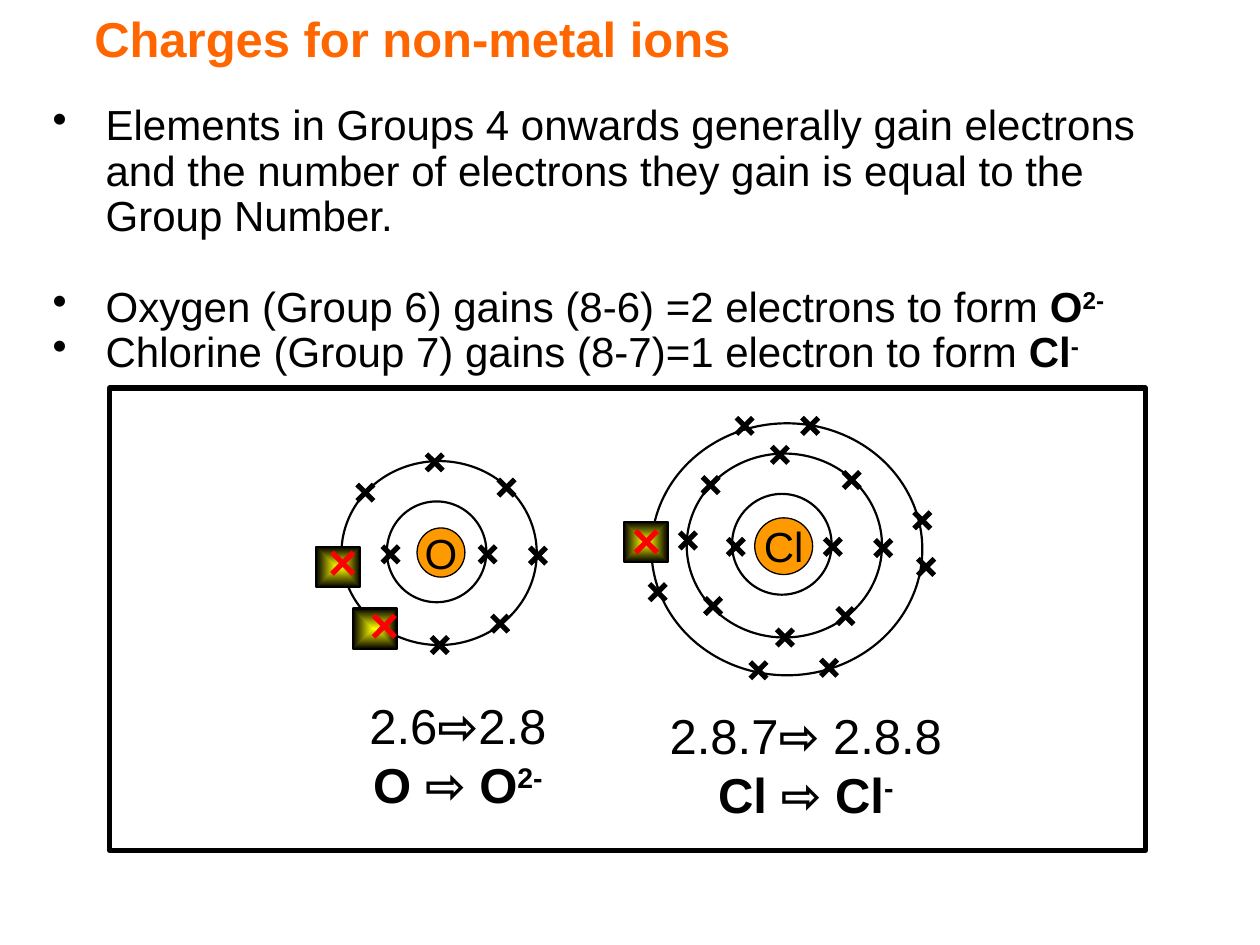
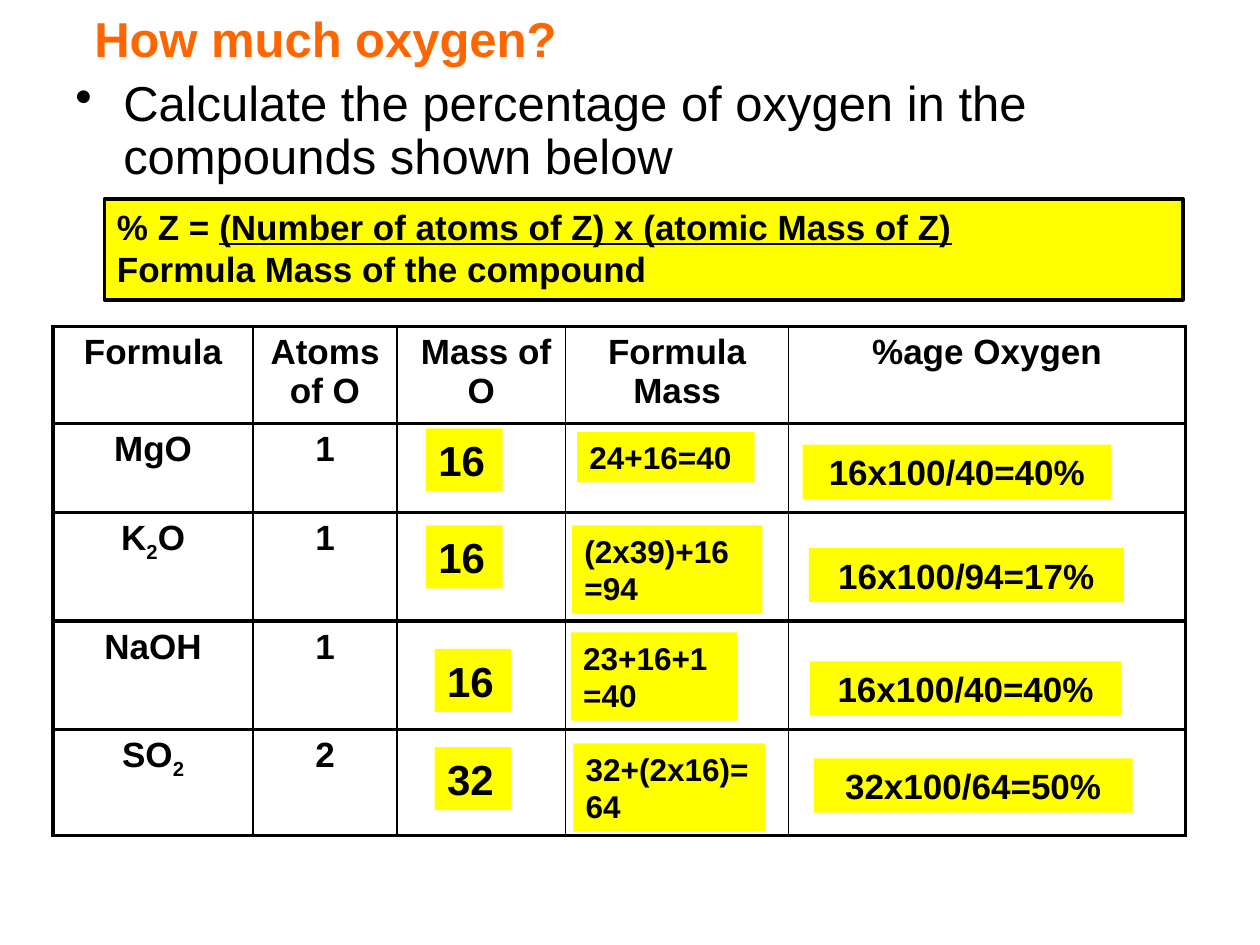
from lxml import etree
from pptx import Presentation
from pptx.dml.color import RGBColor
from pptx.enum.shapes import MSO_CONNECTOR as LINE, MSO_SHAPE as SHAPE
from pptx.enum.text import MSO_ANCHOR as ANCHOR, PP_ALIGN as ALIGN
from pptx.oxml.ns import qn
from pptx.util import Inches, Pt

BLACK = RGBColor(0x00, 0x00, 0x00)
WHITE = RGBColor(0xFF, 0xFF, 0xFF)
ORANGE = RGBColor(0xFF, 0x66, 0x00)
AMBER = RGBColor(0xFF, 0x99, 0x00)
YELLOW = RGBColor(0xFF, 0xFF, 0x00)
RED = RGBColor(0xFF, 0x00, 0x00)
FONT = "Arial"

BOLD = {"bold": True}
SUPER = {"bold": True, "baseline": 30}
SUB = {"bold": True, "baseline": -25}

INNER_RING = (0.36, 0.32, 0.79, 0.8)
MIDDLE_RING = (0, 0, 1.55, 1.46)
OUTER_RING = (-0.28, -0.24, 2.15, 2)
CORE_ELECTRONS = [(0.39, 0.74), (1.16, 0.74), (0.19, 0.25), (0.74, 0.01),
                  (1.31, 0.21), (1.56, 0.75), (1.26, 1.29), (0.78, 1.46)]
LEFT_ELECTRONS = [(0.01, 0.69), (0.21, 1.21)]
OUTER_ELECTRONS = [(0.46, -0.22), (0.98, -0.22), (1.87, 0.53), (1.9, 0.9),
                   (1.13, 1.7), (0.57, 1.72), (-0.23, 1.1)]


def write(tf, paragraphs, size=24, color=BLACK, bold=False, align=ALIGN.LEFT,
          anchor=ANCHOR.TOP, wrap=True, bullet=0, spacing=None, gaps=()):
    tf.word_wrap = wrap
    tf.vertical_anchor = anchor
    for i, runs in enumerate(paragraphs):
        p = tf.paragraphs[0] if i == 0 else tf.add_paragraph()
        p.alignment = align
        if bullet:
            pPr = p._p.get_or_add_pPr()
            pPr.set("marL", str(Inches(bullet)))
            pPr.set("indent", str(-Inches(bullet)))
            etree.SubElement(pPr, qn("a:buChar")).set("char", "•")
        if spacing:
            p.line_spacing = spacing
        if i < len(gaps) and gaps[i]:
            p.space_before = Pt(gaps[i])
        for item in [runs] if isinstance(runs, str) else runs:
            text, fmt = (item, {}) if isinstance(item, str) else item
            if text == "\n":
                p.add_line_break()
                continue
            r = p.add_run()
            r.text = text
            r.font.name, r.font.size = FONT, Pt(size)
            r.font.color.rgb = color
            r.font.bold = fmt.get("bold", bold)
            if fmt.get("underline"):
                r.font.underline = True
            if "baseline" in fmt:
                r._r.get_or_add_rPr().set("baseline", str(fmt["baseline"] * 1000))


def add_text(s, box, paragraphs, **fmt):
    sp = s.shapes.add_textbox(*map(Inches, box))
    write(sp.text_frame, paragraphs, **fmt)


def add_box(shapes, kind, box, fill=None, line=None):
    sp = shapes.add_shape(kind, *map(Inches, box))
    sp.shadow.inherit = False
    if fill is None:
        sp.fill.background()
    else:
        sp.fill.solid()
        sp.fill.fore_color.rgb = fill
    if line:
        sp.line.color.rgb = BLACK
        sp.line.width = Pt(line)
    else:
        sp.line.fill.background()
    return sp


def add_title(s, text):
    add_text(s, (0.65, 0.02, 7.89, 0.57), [text], size=28, color=ORANGE,
             bold=True, anchor=ANCHOR.MIDDLE)


def add_cross(shapes, x, y, size=0.13, color=BLACK):
    h = size / 2
    for dy in (-h, h):
        ln = shapes.add_connector(LINE.STRAIGHT, Inches(x - h), Inches(y + dy),
                                  Inches(x + h), Inches(y - dy))
        ln.line.color.rgb = color
        ln.line.width = Pt(3)
        etree.SubElement(ln._element.spPr, qn("a:effectLst"))


def add_gained_electron(shapes, x, y, cross_x, cross_y):
    sp = add_box(shapes, SHAPE.RECTANGLE, (x, y, 0.35, 0.32), line=1.25)
    sp.fill.gradient()
    for stop, color in zip(sp.fill.gradient_stops, (YELLOW, BLACK)):
        stop.color.rgb = color
    grad = sp._element.spPr.find(qn("a:gradFill"))
    grad.remove(grad.find(qn("a:lin")))
    center = etree.SubElement(grad, qn("a:path"))
    center.set("path", "shape")
    rect = etree.SubElement(center, qn("a:fillToRect"))
    for side in "ltrb":
        rect.set(side, "50000")
    add_cross(shapes, cross_x, cross_y, 0.17, RED)


def add_atom(s, x, y, symbol, nucleus, rings, electrons, gained):
    shapes = s.shapes.add_group_shape().shapes

    def place(box):
        return (x + box[0], y + box[1], *box[2:])

    for ring in rings:
        add_box(shapes, SHAPE.OVAL, place(ring), line=1.25)
    sp = add_box(shapes, SHAPE.OVAL, place(nucleus), AMBER, 0.75)
    write(sp.text_frame, [symbol], align=ALIGN.CENTER, anchor=ANCHOR.MIDDLE,
          wrap=False)
    for dx, dy in electrons:
        add_cross(shapes, x + dx, y + dy)
    for bx, by, cx, cy in gained:
        add_gained_electron(shapes, x + bx, y + by, x + cx, y + cy)


def add_ion_label(s, box, before, after, symbol, charge):
    add_text(s, box, [[before, ("⇨", BOLD), after, "\n",
                       (f"{symbol} ⇨ {symbol}", BOLD), (charge, SUPER)]],
             size=28, align=ALIGN.CENTER)


def ions_slide(prs):
    s = prs.slides.add_slide(prs.slide_layouts[6])
    add_box(s.shapes, SHAPE.RECTANGLE, (0.87, 3.08, 8.22, 3.67), WHITE, 3)
    add_text(s, (0.32, 0.78, 9.15, 2.42), [
        "Elements in Groups 4 onwards generally gain electrons and the number "
        "of electrons they gain is equal to the Group Number.",
        ["Oxygen (Group 6) gains (8-6) =2 electrons to form ",
         ("O", BOLD), ("2-", SUPER)],
        ["Chlorine (Group 7) gains (8-7)=1 electron to form ",
         ("Cl", BOLD), ("-", SUPER)],
    ], bullet=0.42, spacing=0.9, gaps=(0, 26))
    add_atom(s, 5.45, 3.6, "Cl", (0.54, 0.51, 0.46, 0.45),
             [MIDDLE_RING, INNER_RING, OUTER_RING],
             CORE_ELECTRONS + LEFT_ELECTRONS + OUTER_ELECTRONS,
             [(-0.5, 0.54, -0.32, 0.7)])
    add_atom(s, 2.71, 3.66, "O", (0.6, 0.53, 0.38, 0.39),
             [MIDDLE_RING, INNER_RING], CORE_ELECTRONS,
             [(-0.2, 0.68, 0.01, 0.81), (0.09, 1.17, 0.34, 1.31)])
    add_ion_label(s, (2.8, 5.47, 1.67, 1.03), "2.6", "2.8", "O", "2-")
    add_ion_label(s, (5.14, 5.55, 2.51, 1.03), "2.8.7", " 2.8.8", "Cl", "-")
    add_title(s, "Charges for non-metal ions")


def set_borders(cell, widths):
    tcPr = cell._tc.get_or_add_tcPr()
    for i, (side, width) in enumerate(zip("LRTB", widths)):
        ln = etree.Element(qn(f"a:ln{side}"), w=str(Pt(width)))
        fill = etree.SubElement(ln, qn("a:solidFill"))
        etree.SubElement(fill, qn("a:srgbClr")).set("val", str(BLACK))
        tcPr.insert(i, ln)


def add_oxygen_table(s, box):
    widths = [1.59, 1.14, 1.34, 1.77, 3.15]
    heights = [0.77, 0.71, 0.86, 0.86, 0.84]
    rows = [["Formula", "Atoms of O", " Mass of O", "Formula Mass", "%age Oxygen"],
            ["MgO", "1"],
            [["K", ("2", SUB), "O"], "1"],
            ["NaOH", "1"],
            [["SO", ("2", SUB)], "2"]]
    table = s.shapes.add_table(len(heights), len(widths), *map(Inches, box)).table
    for col, width in zip(table.columns, widths):
        col.width = Inches(width)
    last = len(widths) - 1
    for i, (row, height) in enumerate(zip(rows, heights)):
        table.rows[i].height = Inches(height)
        for j in range(len(widths)):
            cell = table.cell(i, j)
            cell.fill.solid()
            cell.fill.fore_color.rgb = WHITE
            set_borders(cell, (2.25 if j == 0 else 1, 2.25 if j == last else 1,
                               2.25, 2.25))
            if j < len(row):
                write(cell.text_frame, [row[j]], size=20, bold=True,
                      align=ALIGN.CENTER)


def add_answers(s, height, size, answers, align=ALIGN.LEFT):
    for x, y, width, text in answers:
        lines = 2 if height == 0.4 and len(text) > 9 else 1
        sp = add_box(s.shapes, SHAPE.RECTANGLE,
                     (x, y, width, height + 0.3 * (lines - 1)), YELLOW)
        write(sp.text_frame, [text], size=size, bold=True, align=align)


def oxygen_slide(prs):
    s = prs.slides.add_slide(prs.slide_layouts[6])
    add_oxygen_table(s, (0.42, 2.59, 8.98, 4.03))
    add_text(s, (0.5, 0.58, 8.69, 0.99),
             ["Calculate the percentage of oxygen in the compounds shown below"],
             size=28, bullet=0.38, spacing=0.9)
    add_answers(s, 0.5, 24, [(3.38, 3.4, 0.61, "16"), (3.38, 4.17, 0.61, "16"),
                             (3.45, 5.15, 0.61, "16"), (3.45, 5.93, 0.61, "32")])
    add_answers(s, 0.4, 18, [(4.58, 3.43, 1.41, "24+16=40"),
                             (4.54, 4.17, 1.51, "(2x39)+16 =94"),
                             (4.53, 5.02, 1.32, "23+16+1=40"),
                             (4.55, 5.9, 1.52, "32+(2x16)=64")])
    add_answers(s, 0.43, 20, [(6.37, 3.53, 2.45, "16x100/40=40%"),
                              (6.42, 4.35, 2.5, "16x100/94=17%"),
                              (6.43, 5.25, 2.47, "16x100/40=40%"),
                              (6.46, 6.02, 2.53, "32x100/64=50%")], ALIGN.CENTER)
    sp = add_box(s.shapes, SHAPE.RECTANGLE, (0.83, 1.58, 8.56, 0.8), YELLOW, 2.25)
    write(sp.text_frame, [[
        "% Z = ",
        ("(Number of atoms of Z) x (atomic Mass of Z)", {"underline": True}),
        "\n", "Formula Mass of the compound"]], size=20, bold=True)
    add_title(s, "How much oxygen?")


def main():
    prs = Presentation()
    prs.slide_width, prs.slide_height = Inches(10), Inches(7.5)
    ions_slide(prs)
    oxygen_slide(prs)
    prs.save("out.pptx")


if __name__ == "__main__":
    main()
